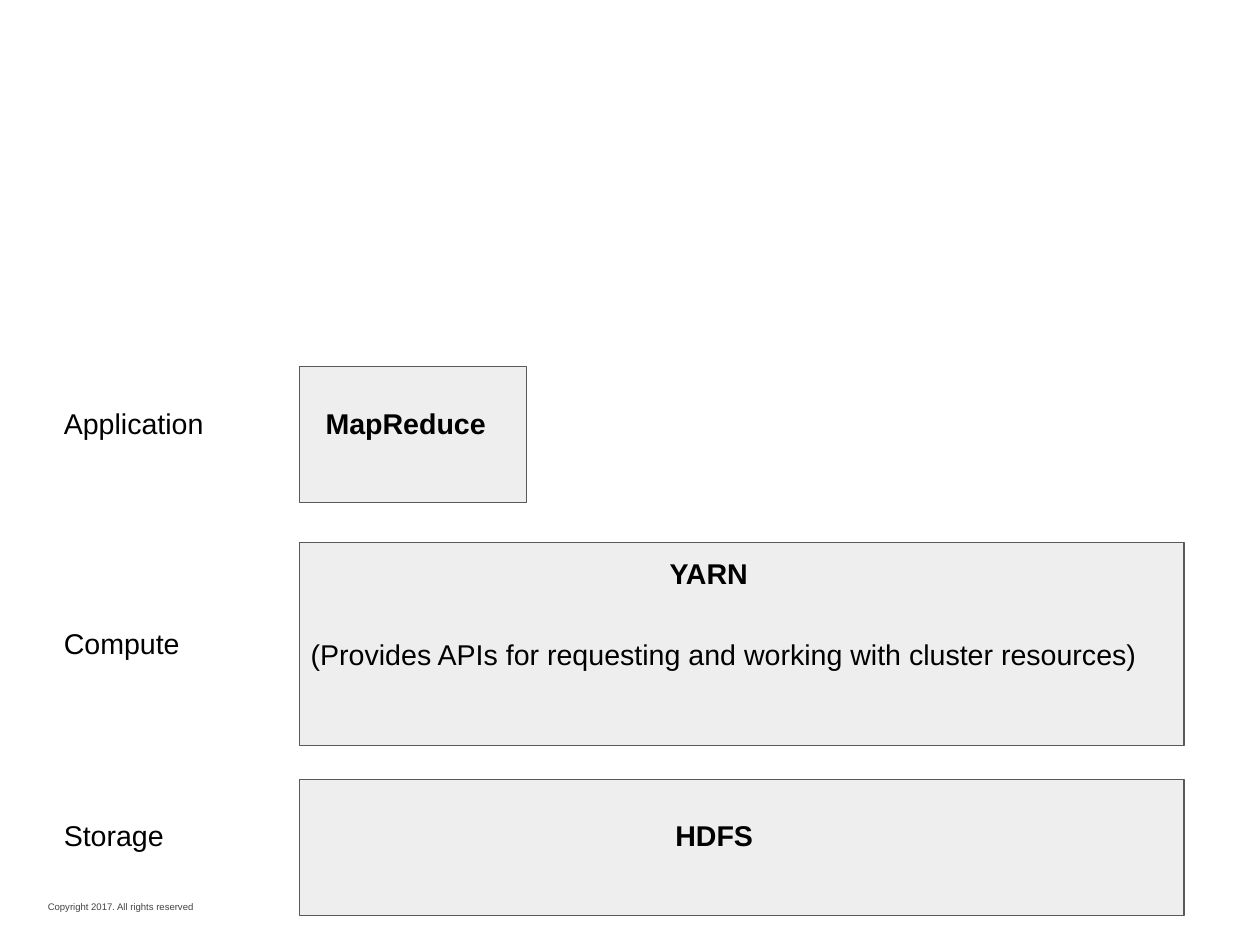
from pptx import Presentation
from pptx.dml.color import RGBColor
from pptx.enum.shapes import MSO_SHAPE as Shape
from pptx.enum.text import MSO_ANCHOR as Anchor
from pptx.util import Cm, Inches, Pt

COLORS = {"fill": "EEEEEE", "line": "595959", "text": "000000", "footer": "434343"}
PAGE_WIDTH, PAGE_HEIGHT = Cm(28), Cm(21)
LABEL_LEFT, LABEL_WIDTH = 0.46, 2.1
BAND_LEFT, BAND_WIDTH = 2.62, 7.74
TEXT_HEIGHT = 0.71

LAYERS = [
    ("Storage", (BAND_LEFT, 6.82, BAND_WIDTH, 1.19), 0.24,
     [("HDFS", 3.19, 0.24, 1.46, True)]),
    ("Application", (BAND_LEFT, 3.21, 1.99, 1.19), 0.24,
     [("MapReduce", 0.13, 0.24, 1.86, True)]),
    ("Compute", (BAND_LEFT, 4.75, BAND_WIDTH, 1.77), 0.63,
     [("YARN", 3.14, 0.01, 1.46, True),
      ("(Provides APIs for requesting and working with cluster resources)",
       0, 0.72, BAND_WIDTH, False)]),
]


def color(name):
    return RGBColor.from_string(COLORS[name])


def add_text(page, text, box, size=18, bold=False, tone="text", anchor=Anchor.TOP):
    frame = page.shapes.add_textbox(*map(Inches, box)).text_frame
    frame.word_wrap = True
    frame.vertical_anchor = anchor
    frame.margin_left = frame.margin_right = Inches(0.1)
    frame.margin_top = frame.margin_bottom = Inches(0.1)
    para = frame.paragraphs[0]
    para.text = text
    para.font.name = "Arial"
    para.font.size = Pt(size)
    para.font.bold = bold
    para.font.color.rgb = color(tone)


def add_layer(page, label, box, label_drop, captions):
    left, top, _, _ = box
    band = page.shapes.add_shape(Shape.RECTANGLE, *map(Inches, box))
    band.shadow.inherit = False
    band.fill.solid()
    band.fill.fore_color.rgb = color("fill")
    band.line.color.rgb = color("line")
    band.line.width = Pt(0.75)
    add_text(page, label, (LABEL_LEFT, top + label_drop, LABEL_WIDTH, TEXT_HEIGHT))
    for text, indent, drop, width, bold in captions:
        add_text(page, text, (left + indent, top + drop, width, TEXT_HEIGHT), bold=bold)


def add_footer(page, box):
    add_text(page, "Copyright 2017. All rights reserved", box,
             size=6, tone="footer", anchor=Anchor.MIDDLE)


def main():
    deck = Presentation()
    deck.slide_width = PAGE_WIDTH
    deck.slide_height = PAGE_HEIGHT
    page = deck.slides.add_slide(deck.slide_layouts[6])
    add_footer(page, (0.32, 7.78, 2.7, 0.3))
    for layer in LAYERS:
        add_layer(page, *layer)
    deck.save("out.pptx")


if __name__ == "__main__":
    main()
